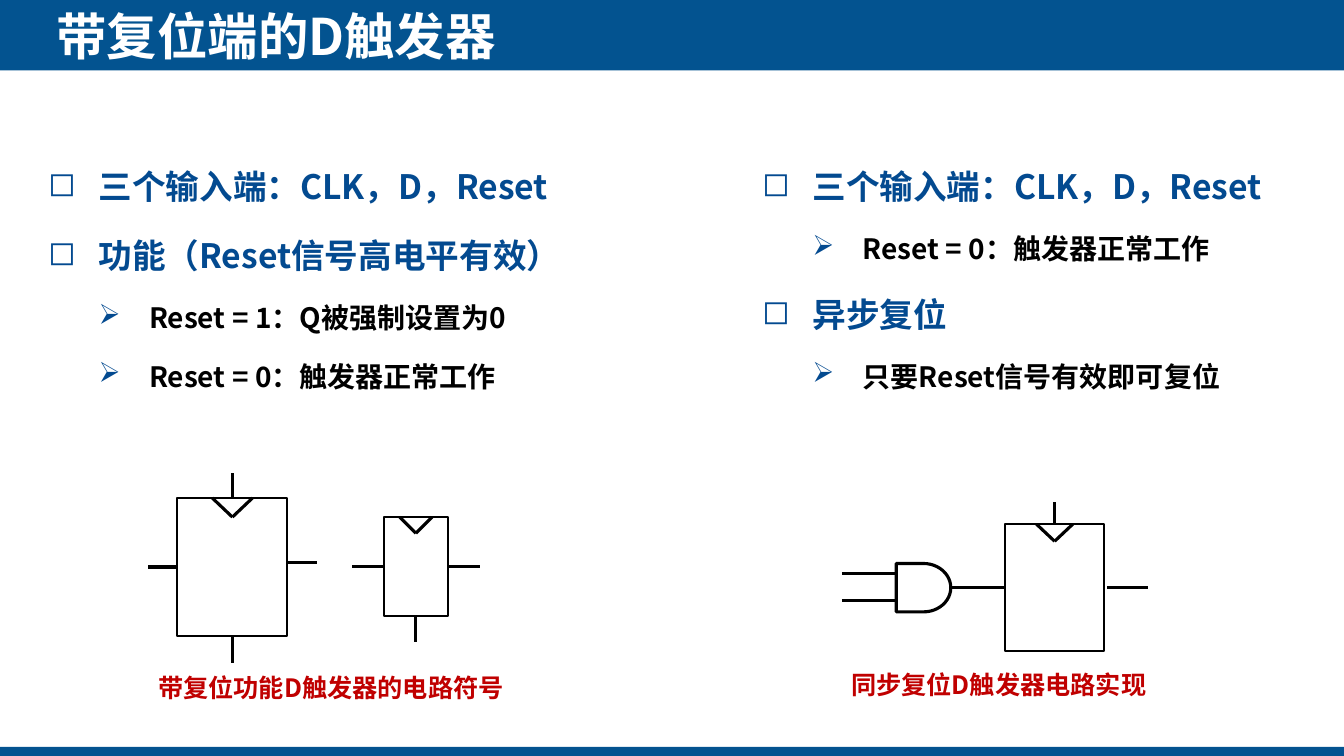
from lxml import etree
from pptx import Presentation
from pptx.dml.color import RGBColor
from pptx.enum.shapes import MSO_CONNECTOR, MSO_SHAPE
from pptx.enum.text import MSO_ANCHOR, MSO_AUTO_SIZE, PP_ALIGN
from pptx.oxml.ns import qn
from pptx.util import Inches, Pt

LINE = MSO_CONNECTOR.STRAIGHT
RECT, GATE = MSO_SHAPE.RECTANGLE, MSO_SHAPE.FLOWCHART_DELAY
LEFT, MID, JUST = PP_ALIGN.LEFT, PP_ALIGN.CENTER, PP_ALIGN.JUSTIFY
TOP, CENTER = MSO_ANCHOR.TOP, MSO_ANCHOR.MIDDLE
GROW = MSO_AUTO_SIZE.SHAPE_TO_FIT_TEXT

THEME = {
    "font": "Noto Sans CJK SC",
    "bar": "035390", "blue": "034A90", "red": "C00000",
    "black": "000000", "white": "FFFFFF",
    "title": 36, "level": (24, 20), "label": 18,
    "edge": 1.5, "wire": 2.25,
}
BARS = [(0, 0, 13.33, 0.7), (0, 7.41, 13.33, 0.09)]
TITLE = ("带复位端的D触发器", (0.56, 0.05, 8.57, 0.61))
LISTS = [
    ((0.38, 1.4, 5.5, 2.52), [
        (0, "三个输入端：CLK，D，Reset"),
        (0, "功能（Reset信号高电平有效）"),
        (1, "Reset = 1：Q被强制设置为0"),
        (1, "Reset = 0：触发器正常工作"),
    ]),
    ((7.46, 1.4, 5.5, 2.52), [
        (0, "三个输入端：CLK，D，Reset"),
        (1, "Reset = 0：触发器正常工作"),
        (0, "异步复位"),
        (1, "只要Reset信号有效即可复位"),
    ]),
]
LABELS = [
    ("带复位功能D触发器的电路符号", (1.47, 6.62, 3.75, 0.4), LEFT),
    ("同步复位D触发器电路实现", (8.03, 6.59, 3.75, 0.4), MID),
]
BULLETS = ("◻", "➢")
FLOPS = [
    {"box": (1.76, 4.94, 1.09, 1.37), "notch": (0.2, 0.19),
     "pins": {"top": 0.25, "left": 0.29, "bottom": 0.27},
     "wires": [(2.85, 5.58, 3.14, 5.58)]},
    {"box": (3.81, 5.13, 0.63, 0.98), "notch": (0.16, 0.16),
     "pins": {"bottom": 0.26, "left": 0.32, "right": 0.32}, "wires": []},
    {"box": (9.97, 5.2, 0.98, 1.26), "notch": (0.18, 0.17),
     "pins": {"top": 0.22},
     "wires": [(10.98, 5.83, 11.39, 5.83), (8.35, 5.69, 8.89, 5.69),
               (8.35, 5.96, 8.89, 5.96)],
     "gate": (8.89, 5.59, 0.54, 0.48)},
]
SIDES = {"top": (0, 0, -1), "left": (1, -1, 0),
         "bottom": (2, 0, 1), "right": (3, 1, 0)}


def color(name):
    return RGBColor.from_string(THEME[name])


def style(para, size, hue):
    for run in para.runs:
        font = run.font
        font.size, font.bold, font.name = Pt(size), True, THEME["font"]
        font.color.rgb = color(hue)
        east = etree.SubElement(run._r.get_or_add_rPr(), qn("a:ea"))
        east.set("typeface", THEME["font"])


def frame(slide, box, anchor=TOP):
    text = slide.shapes.add_textbox(*map(Inches, box)).text_frame
    text.word_wrap, text.auto_size = True, GROW
    text.vertical_anchor = anchor
    return text


def bullet(para, level):
    para.level, para.alignment = level, JUST
    para.line_spacing, para.space_after = 1.5, Pt(6)
    props = para._p.get_or_add_pPr()
    props.set("marL", str(Inches(0.5 * (level + 1))))
    props.set("indent", str(Inches(-0.5)))
    tint = etree.SubElement(props, qn("a:buClr"))
    etree.SubElement(tint, qn("a:srgbClr")).set("val", THEME["blue"])
    etree.SubElement(props, qn("a:buChar")).set("char", BULLETS[level])


def outline(shapes, kind, box, width):
    shape = shapes.add_shape(kind, *map(Inches, box))
    shape.shadow.inherit = False
    shape.fill.background()
    shape.line.color.rgb = color("black")
    shape.line.width = Pt(width)
    return shape


def wire(shapes, ends):
    line = shapes.add_connector(LINE, *map(Inches, ends))
    line.line.color.rgb = color("black")
    line.line.width = Pt(THEME["wire"])
    etree.SubElement(line._element.spPr, qn("a:effectLst"))
    return line


def draw_flop(slide, flop):
    shapes = slide.shapes.add_group_shape().shapes
    x, y, w, h = flop["box"]
    mx, my = x + w / 2, y + h / 2
    body = outline(shapes, RECT, flop["box"], THEME["edge"])
    for side, size in flop["pins"].items():
        site, dx, dy = SIDES[side]
        px, py = mx + dx * w / 2, my + dy * h / 2
        pin = wire(shapes, (px, py, px + dx * size, py + dy * size))
        pin.begin_connect(body, site)
    half, depth = flop["notch"]
    for edge in (mx - half, mx + half):
        wire(shapes, (edge, y, mx, y + depth))
    for ends in flop["wires"]:
        wire(shapes, ends)
    if "gate" in flop:
        gx, gy, gw, gh = flop["gate"]
        gate = outline(shapes, GATE, flop["gate"], THEME["wire"])
        link = wire(shapes, (gx + gw, gy + gh / 2, x, my))
        link.begin_connect(gate, 3)
        link.end_connect(body, 1)


def main():
    deck = Presentation()
    deck.slide_width, deck.slide_height = Inches(13.33), Inches(7.5)
    slide = deck.slides.add_slide(deck.slide_layouts[6])

    for box in BARS:
        bar = slide.shapes.add_shape(RECT, *map(Inches, box))
        bar.shadow.inherit = False
        bar.fill.solid()
        bar.fill.fore_color.rgb = color("bar")
        bar.line.fill.background()

    words, box = TITLE
    head = frame(slide, box, CENTER)
    head.margin_left = head.margin_right = 0
    head.margin_top = head.margin_bottom = 0
    head.text = words
    style(head.paragraphs[0], THEME["title"], "white")

    for box, items in LISTS:
        text = frame(slide, box)
        text.text = "\n".join(words for _, words in items)
        for para, (level, _) in zip(text.paragraphs, items):
            bullet(para, level)
            style(para, THEME["level"][level], ("blue", "black")[level])

    for flop in FLOPS:
        draw_flop(slide, flop)

    for words, box, align in LABELS:
        text = frame(slide, box)
        text.text = words
        text.paragraphs[0].alignment = align
        style(text.paragraphs[0], THEME["label"], "red")

    deck.save("out.pptx")


if __name__ == "__main__":
    main()
